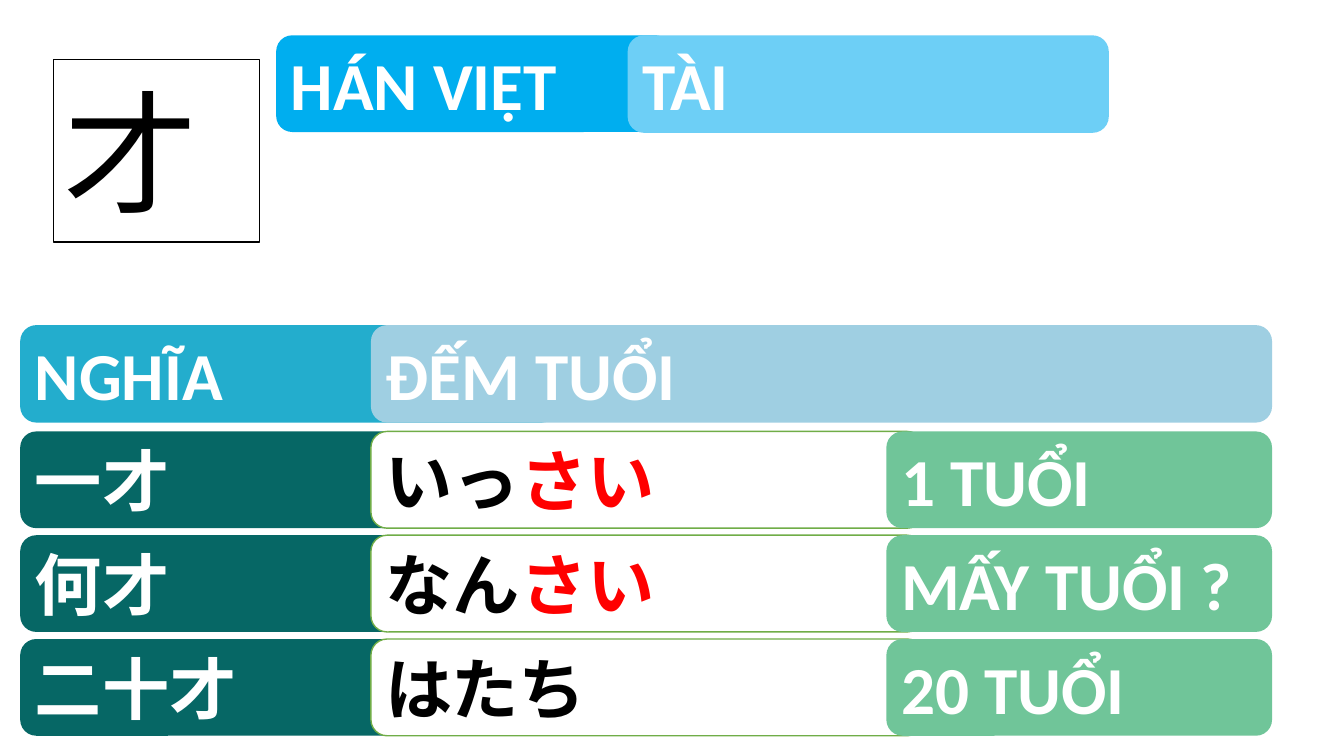
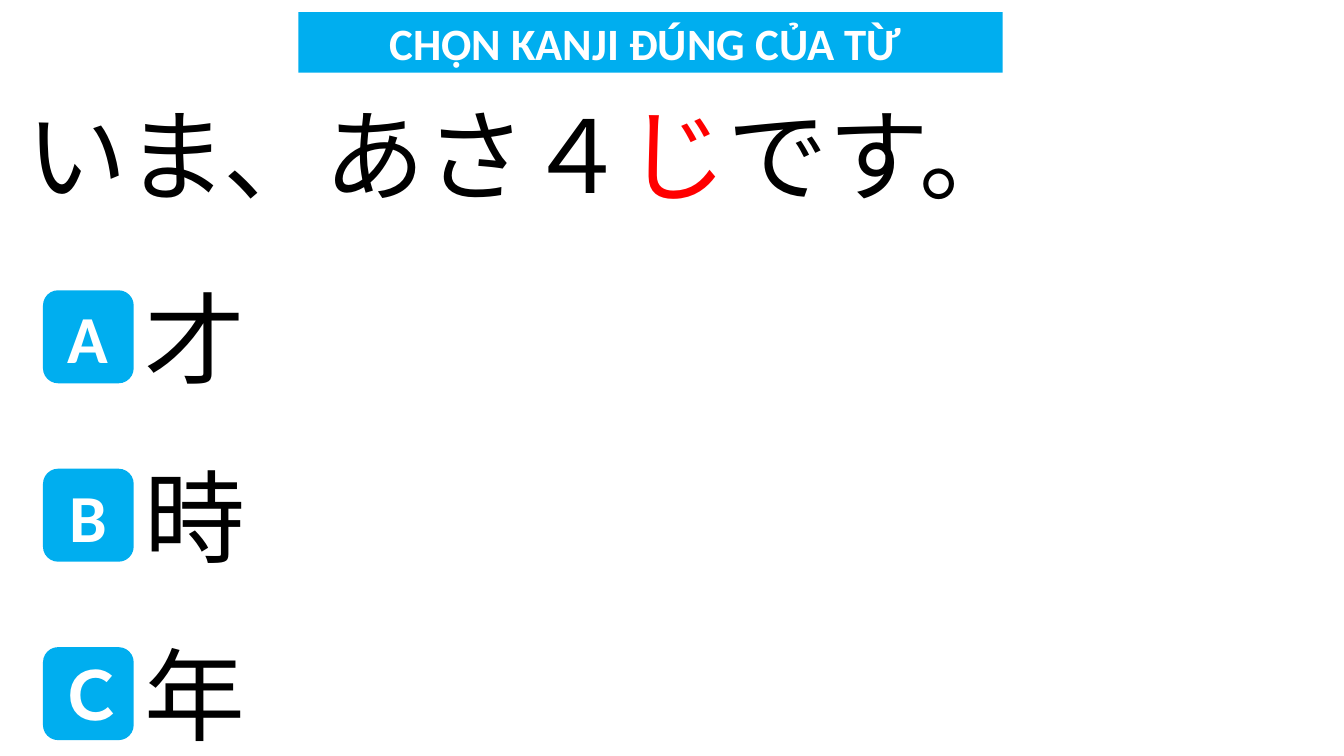
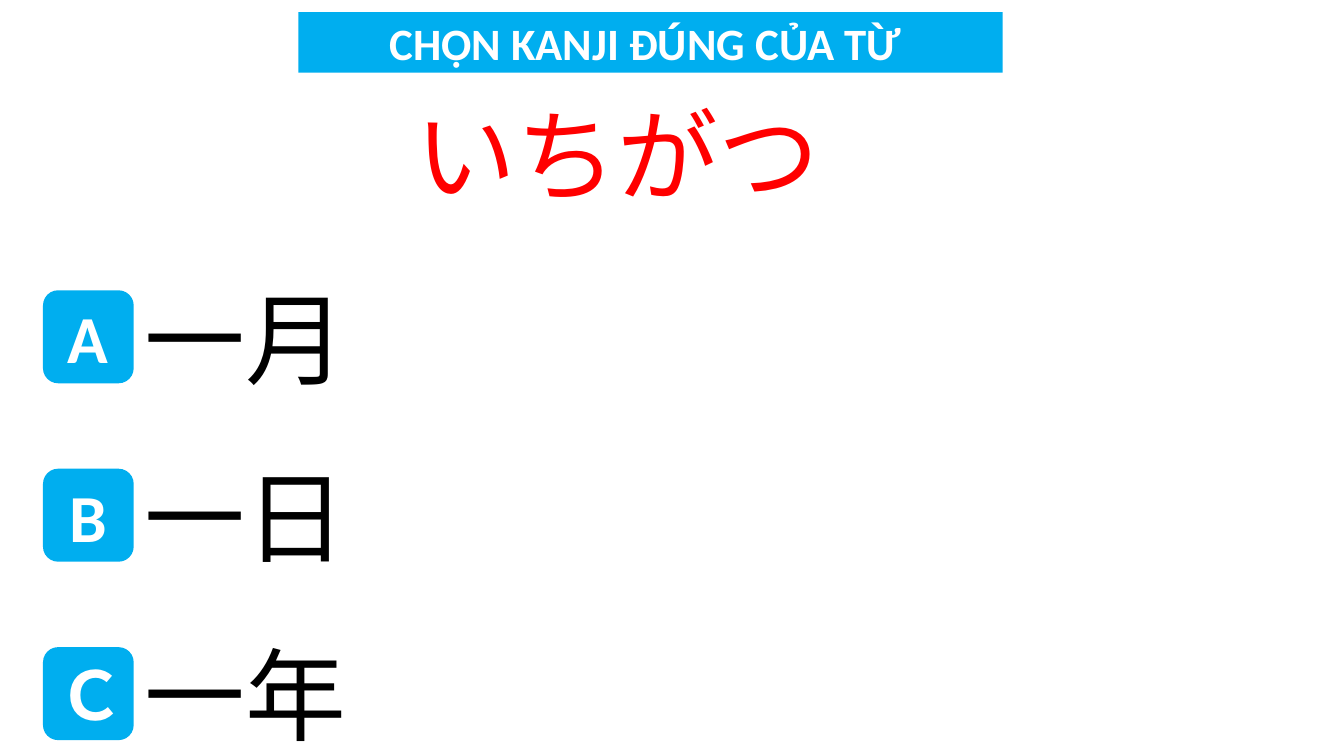
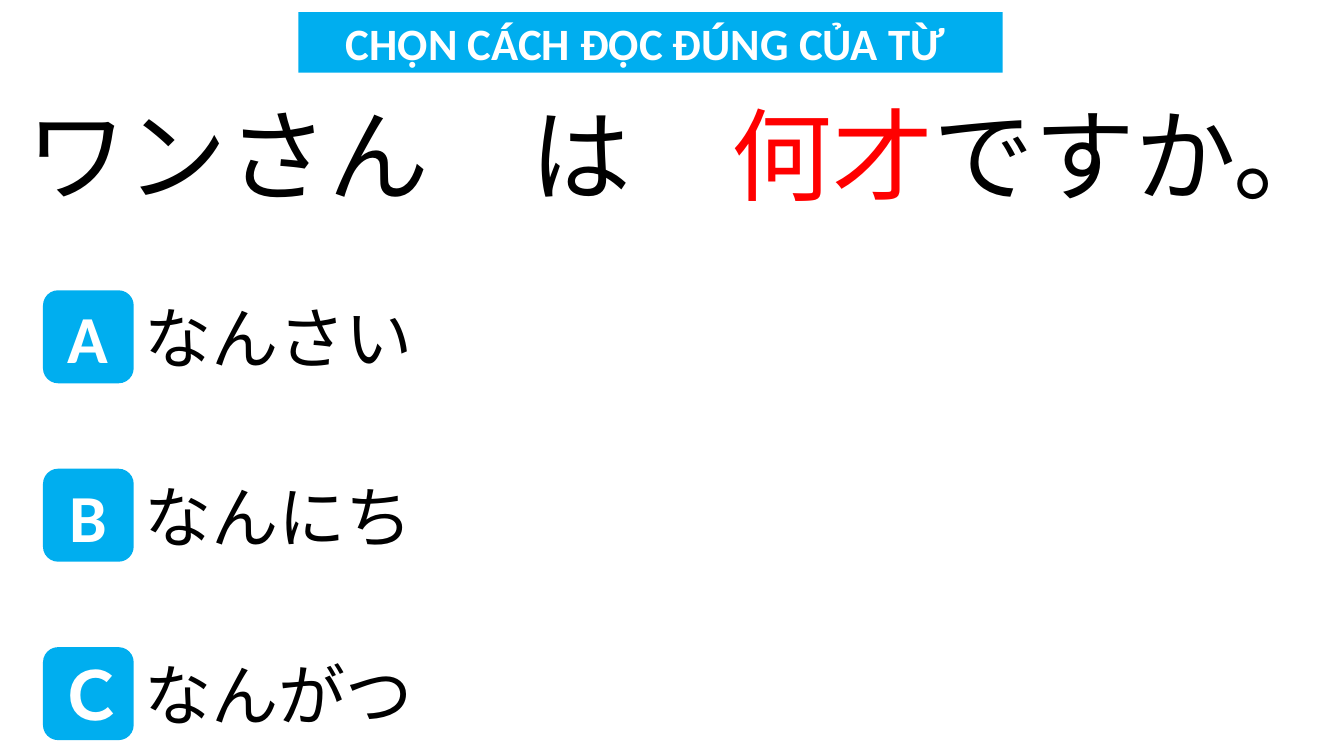
from dataclasses import dataclass
from lxml.etree import SubElement
from pptx import Presentation
from pptx.dml.color import RGBColor
from pptx.enum.shapes import MSO_SHAPE
from pptx.enum.text import MSO_ANCHOR, MSO_AUTO_SIZE, PP_ALIGN
from pptx.oxml.ns import qn
from pptx.util import Inches, Pt


@dataclass(frozen=True)
class Theme:
    white: str = "FFFFFF"
    ink: str = "000000"
    accent: str = "FF0000"
    blue: str = "00AEEF"
    sky: str = "6DCFF6"
    cyan: str = "23ADCD"
    mist: str = "9FCFE2"
    teal: str = "066765"
    mint: str = "70C599"
    outline: str = "70AD47"
    latin: str = "Calibri"
    kana: str = "Noto Sans CJK JP"
    banner: int = 32
    label: int = 48
    sentence: int = 72
    kanji: int = 96


class Deck:
    def __init__(self, theme):
        self.t = theme
        self.prs = Presentation()
        self.prs.slide_width, self.prs.slide_height = Inches(13.33), Inches(7.5)
        self.s = None

    def slide(self):
        self.s = self.prs.slides.add_slide(self.prs.slide_layouts[5])

    def box(self, x, y, w, h):
        width, height = self.prs.slide_width, self.prs.slide_height
        return [int(share * full / 100) for share, full in
                ((x, width), (y, height), (w, width), (h, height))]

    def paint(self, sp, fill, line=None):
        sp.fill.solid()
        sp.fill.fore_color.rgb = RGBColor.from_string(fill)
        if line:
            sp.line.color.rgb = RGBColor.from_string(line)
            sp.line.width = Pt(1)
        else:
            sp.line.fill.background()

    def set_text(self, sp, runs, size, color, font, bold=False, align=PP_ALIGN.LEFT):
        tf = sp.text_frame
        tf.word_wrap = True
        tf.vertical_anchor = MSO_ANCHOR.MIDDLE
        tf.auto_size = MSO_AUTO_SIZE.NONE
        p = tf.paragraphs[0]
        p.alignment = align
        p.font.size, p.font.bold, p.font.name = Pt(size), bold, font
        p.font.color.rgb = RGBColor.from_string(color)
        if font == self.t.kana:
            props = p._p.pPr.find(qn("a:defRPr"))
            SubElement(props, qn("a:ea")).set("typeface", font)
        for run in [runs] if isinstance(runs, str) else runs:
            text, tint = (run, None) if isinstance(run, str) else run
            r = p.add_run()
            r.text = text
            if tint:
                r.font.color.rgb = RGBColor.from_string(tint)

    def title(self, text, place, preset, fill, size, color, font, line=None, **style):
        sp = self.s.shapes.title
        sp.left, sp.top, sp.width, sp.height = self.box(*place)
        geom = SubElement(sp._element.spPr, qn("a:prstGeom"))
        geom.set("prst", preset)
        SubElement(geom, qn("a:avLst"))
        self.paint(sp, fill, line)
        self.set_text(sp, text, size, color, font, **style)

    def banner(self, text):
        t = self.t
        self.title(text, (22.2, 1.6, 52.4, 8), "roundRect", t.blue, t.banner,
                   t.white, t.latin, bold=True, align=PP_ALIGN.CENTER)

    def kanji(self, text):
        t = self.t
        self.title(text, (4, 7.9, 15.3, 24.1), "rect", t.white, t.kanji,
                   t.ink, t.kana, line=t.ink)

    def pill(self, runs, place, fill, color=None, line=None, align=PP_ALIGN.LEFT):
        sp = self.s.shapes.add_shape(MSO_SHAPE.ROUNDED_RECTANGLE, *self.box(*place))
        sp.shadow.inherit = False
        self.paint(sp, fill, line)
        self.set_text(sp, runs, self.t.label, color or self.t.white, self.t.latin,
                      bold=True, align=align)

    def text(self, runs, place, size, color=None):
        sp = self.s.shapes.add_textbox(*self.box(*place))
        self.set_text(sp, runs, size, color or self.t.ink, self.t.kana)
        sp.text_frame.auto_size = MSO_AUTO_SIZE.SHAPE_TO_FIT_TEXT

    def word_row(self, index, word, reading, meaning):
        t, y, h = self.t, 57.07 + 13.73 * index, 12.8
        self.pill(word, (1.5, y, 40, h), t.teal)
        self.pill(reading, (27.6, y, 41.1, h), t.white, t.ink, t.outline)
        self.pill(meaning, (65.95, y, 28.7, h), t.mint)

    def quiz(self, heading, question, answers, size, left=1.2, width=97.6):
        self.slide()
        self.banner(heading)
        self.text(question, (left, 11.5, width, 17.47), self.t.sentence)
        side = 12.3
        height = size * 0.24
        for i, (letter, answer) in enumerate(zip("ABＣ", answers)):
            y = 38.4 + 23.6 * i
            self.pill(letter, (3.2, y, 6.75, side), self.t.blue, align=PP_ALIGN.CENTER)
            self.text(answer, (10, y + (side - height) / 2, 34.5, height), size)


def main():
    t = Theme()
    d = Deck(t)

    d.slide()
    d.kanji("才")
    d.pill("HÁN VIỆT", (20.55, 4.67, 29.4, 12.8), t.blue)
    d.pill("TÀI", (46.7, 4.67, 35.8, 12.9), t.sky)
    d.pill("NGHĨA", (1.5, 43, 40, 12.9), t.cyan)
    d.pill("ĐẾM TUỔI", (27.6, 43, 67.05, 12.9), t.mist)
    age = ("さい", t.accent)
    words = [("一才", ["いっ", age], "1 TUỔI"),
             ("何才", ["なん", age], "MẤY TUỔI ?"),
             ("二十才", "はたち", "20 TUỔI")]
    for i, word in enumerate(words):
        d.word_row(i, *word)

    choose_kanji = "CHỌN KANJI ĐÚNG CỦA TỪ "
    d.quiz(choose_kanji, ["いま、あさ４", ("じ", t.accent), "です。"],
           ["才", "時", "年"], t.sentence)
    d.quiz(choose_kanji, [("いちがつ", t.accent)],
           ["一月", "一日", "一年"], t.sentence, left=30.2, width=47.4)
    d.quiz("CHỌN CÁCH ĐỌC ĐÚNG CỦA TỪ ",
           ["ワンさん　は　", ("何才", t.accent), "ですか。"],
           ["なんさい", "なんにち", "なんがつ"], t.label)

    d.prs.save("out.pptx")


if __name__ == "__main__":
    main()
